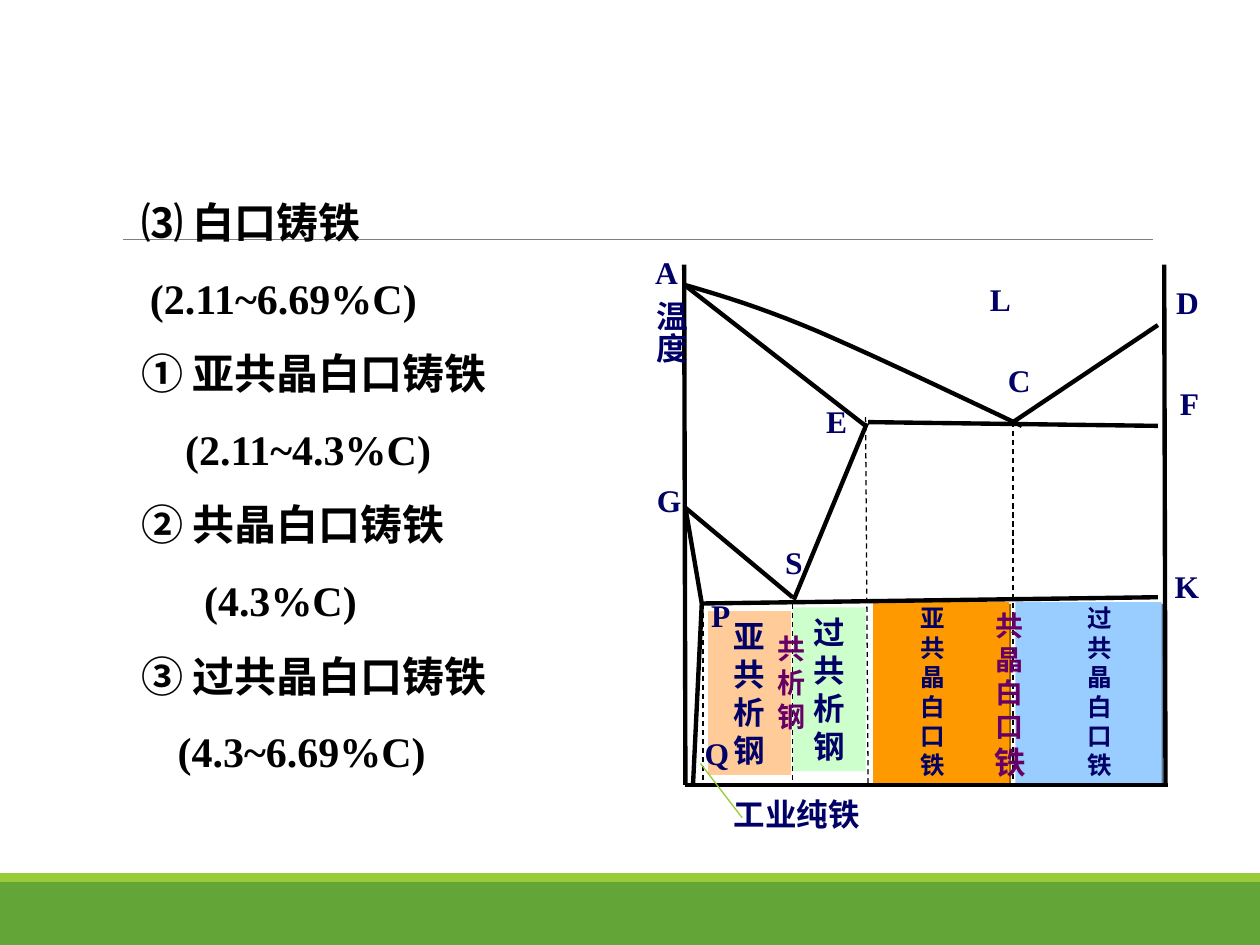
import pptx
import pptx.util
import pptx.dml.color
import pptx.oxml
import pptx.oxml.ns
from pptx.enum.dml import MSO_LINE
from pptx.enum.shapes import MSO_CONNECTOR, MSO_SHAPE
from pptx.enum.text import MSO_ANCHOR, PP_ALIGN

Inches = pptx.util.Inches
NAVY, PURPLE, BLACK, GREEN, LIME = "000066", "660066", "000000", "63A537", "99CB38"
SERIF = "Times New Roman"


def colour(value):
    """Turn a hex string into a colour."""
    return pptx.dml.color.RGBColor.from_string(value)


def add_effects(shape, inner=""):
    """Give a shape an effect list of its own."""
    xml = f'<a:effectLst {pptx.oxml.ns.nsdecls("a")}>{inner}</a:effectLst>'
    shape._element.spPr.append(pptx.oxml.parse_xml(xml))


def add_block(shapes, left, top, width, height, fill, shadow=None):
    """Draw a plain filled rectangle, with a small hard shadow if asked."""
    block = shapes.add_shape(MSO_SHAPE.RECTANGLE, Inches(left), Inches(top), Inches(width), Inches(height))
    block.fill.solid()
    block.fill.fore_color.rgb = colour(fill)
    block.line.fill.background()
    if shadow:
        add_effects(block, f'<a:outerShdw dist="17780" dir="2700000"><a:srgbClr val="{shadow}"/></a:outerShdw>')
    else:
        block.shadow.inherit = False
    return block


def add_line(shapes, start, end, width=2.5, line_colour=BLACK, dash=None):
    """Draw a straight line between two points."""
    line = shapes.add_connector(MSO_CONNECTOR.STRAIGHT, *(Inches(value) for value in (*start, *end)))
    line.line.width = pptx.util.Pt(width)
    line.line.color.rgb = colour(line_colour)
    if dash:
        line.line.dash_style = dash
    add_effects(line)


def style_paragraph(para, size, font, text_colour):
    """Format every run of a paragraph in bold."""
    for span in para.runs:
        span.font.size = pptx.util.Pt(size)
        span.font.name = font
        span.font.bold = True
        span.font.color.rgb = colour(text_colour)


def add_label(shapes, text, left, top, width, height, size=18, text_colour=NAVY, wrap=True):
    """Add a centred bold label."""
    box = shapes.add_textbox(Inches(left), Inches(top), Inches(width), Inches(height))
    frame = box.text_frame
    frame.word_wrap = wrap
    frame.text = text
    for para in frame.paragraphs:
        para.alignment = PP_ALIGN.CENTER
        style_paragraph(para, size, SERIF, text_colour)
    return box


def add_backdrop(page, width, height):
    """Draw the rule and the two bands at the foot."""
    add_block(page.shapes, 0, height - 0.5, width, 0.5, GREEN)
    add_block(page.shapes, 0, height - 0.57, width, 0.07, LIME)
    add_line(page.shapes, (0.98, 1.9), (9.15, 1.9), 0.5, "7F7F7F")


def add_outline(page, left, top, width, height):
    """List the kinds of white cast iron with their carbon ranges."""
    entries = [
        ("⑶ 白口铸铁", 0.22, "Calibri"), ("(2.11~6.69%C)", 0.29, SERIF),
        ("① 亚共晶白口铸铁", 0.22, "Calibri"), ("(2.11~4.3%C)", 0.57, SERIF),
        ("② 共晶白口铸铁", 0.22, "Calibri"), ("(4.3%C)", 0.72, SERIF),
        ("③ 过共晶白口铸铁", 0.22, "Calibri"), ("(4.3~6.69%C)", 0.51, SERIF),
    ]
    box = page.shapes.add_textbox(Inches(left), Inches(top), Inches(width), Inches(height))
    frame = box.text_frame
    frame.word_wrap = True
    frame.margin_left = frame.margin_right = 0
    frame.text = "\n".join(entry[0] for entry in entries)
    for para, (_, indent, font) in zip(frame.paragraphs, entries):
        para.line_spacing = 1.5
        para._p.get_or_add_pPr().set("marL", str(Inches(indent)))
        style_paragraph(para, 24, font, BLACK)


def curve_points(start, first, second, end, steps=10):
    """Return points along a cubic curve, without its start."""
    points = []
    for step in range(1, steps + 1):
        t = step / steps
        weights = ((1 - t) ** 3, 3 * t * (1 - t) ** 2, 3 * t * t * (1 - t), t ** 3)
        points.append(tuple(sum(w * p[axis] for w, p in zip(weights, (start, first, second, end)))
                            for axis in (0, 1)))
    return points


def add_liquidus(shapes, left, top):
    """Draw the curve from A to C."""
    knots = [(0.43, 0.26), (0.74, 0.35), (1.04, 0.44), (1.49, 0.63), (1.93, 0.82), (2.52, 1.1), (3.11, 1.38)]
    points = [knots[0]] + curve_points(*knots[:4]) + curve_points(*knots[3:])
    placed = [(Inches(left + x), Inches(top + y)) for x, y in points]
    builder = shapes.build_freeform(*placed[0])
    builder.add_line_segments(placed[1:], close=False)
    curve = builder.convert_to_shape()
    curve.fill.background()
    curve.line.color.rgb = colour(BLACK)
    curve.line.width = pptx.util.Pt(2.5)
    curve.shadow.inherit = False


def add_phase_diagram(page, left, top):
    """Draw the iron-carbon diagram from its top left corner."""
    shapes = page.shapes.add_group_shape().shapes

    def at(x, y):
        return left + x, top + y

    regions = [
        (0.62, 2.85, 0.66, 1.3, "FFCC99", None), (1.29, 2.82, 0.58, 1.3, "CCFFCC", None),
        (3.06, 2.78, 1.16, 1.44, "99CCFF", "5C7A99"), (1.93, 2.78, 1.08, 1.44, "FF9900", "995C00"),
    ]
    for x, y, width, height, fill, shadow in regions:
        add_block(shapes, *at(x, y), width, height, fill, shadow)

    boundaries = [
        (0.43, 0.1, 0.44, 4.23), (0.44, 4.23, 4.27, 4.23), (4.25, 4.23, 4.24, 0.1),
        (1.89, 1.35, 4.19, 1.38), (0.56, 2.79, 4.19, 2.74), (0.43, 0.26, 1.87, 1.38),
        (3.04, 1.35, 4.19, 0.58), (0.44, 2.03, 0.57, 2.79), (0.44, 2.03, 1.29, 2.74),
        (1.88, 1.36, 1.3, 2.76), (0.57, 2.79, 0.5, 4.23),
    ]
    for x1, y1, x2, y2 in boundaries:
        add_line(shapes, at(x1, y1), at(x2, y2))
    add_liquidus(shapes, left, top)
    for x1, y1, x2 in [(0.58, 2.79, 0.58), (1.29, 2.79, 1.29), (1.87, 1.31, 1.89), (3.04, 1.35, 3.04)]:
        add_line(shapes, at(x1, y1), at(x2, 4.23), 0.75, dash=MSO_LINE.DASH)
    add_line(shapes, at(0.56, 4.06), at(0.89, 4.49), 0.75, LIME)

    letters = [
        ("A", 0.02, -0.04, 0.54), ("G", 0.04, 1.77, 0.54), ("S", 1.03, 2.26, 0.54),
        ("P", 0.45, 2.68, 0.54), ("Q", 0.42, 3.78, 0.54), ("E", 1.37, 1.14, 0.54),
        ("C", 2.82, 0.82, 0.54), ("L", 2.74, 0.17, 0.4), ("D", 4.2, 0.2, 0.45),
        ("F", 4.24, 1, 0.4), ("K", 4.22, 2.45, 0.4), ("工业纯铁", 0.62, 4.26, 1.41),
    ]
    for text, x, y, width in letters:
        add_label(shapes, text, *at(x, y), width, 0.4)

    names = [
        ("亚共析钢", 0.62, 2.85, 0.66, 1.3, 18), ("过共析钢", 1.29, 2.82, 0.58, 1.3, 18),
        ("亚共晶白口铁", 2.2, 2.74, 0.41, 1.5, 14), ("过共晶白口铁", 3.52, 2.74, 0.41, 1.5, 14),
    ]
    for text, x, y, width, height, size in names:
        add_label(shapes, text, *at(x, y), width, height, size)

    for text, x, y, last_size in [("共析钢", 1.05, 3.16, 16), ("共晶白口铁", 2.78, 3.26, 18)]:
        column = add_label(shapes, "\n".join(text), *at(x, y), 0.47, 0.51, 16, PURPLE, wrap=False)
        column.text_frame.vertical_anchor = MSO_ANCHOR.MIDDLE
        style_paragraph(column.text_frame.paragraphs[-1], last_size, SERIF, PURPLE)

    axis = add_label(shapes, "温度", *at(0.03, 0.29), 0.5, 0.85)
    frame = axis.text_frame
    frame.paragraphs[0].alignment = PP_ALIGN.LEFT
    frame.margin_left = frame.margin_right = Inches(0.05)
    frame.margin_top = frame.margin_bottom = Inches(0.1)
    frame._txBody.bodyPr.set("vert", "eaVert")


def main():
    """Build and save the deck."""
    deck = pptx.Presentation()
    deck.slide_width, deck.slide_height = Inches(10), Inches(7.5)
    page = deck.slides.add_slide(deck.slide_layouts[6])
    add_backdrop(page, 10, 7.5)
    add_outline(page, 0.9, 1.31, 3.83, 4.96)
    add_phase_diagram(page, 5, 2)
    deck.save("out.pptx")


if __name__ == "__main__":
    main()
